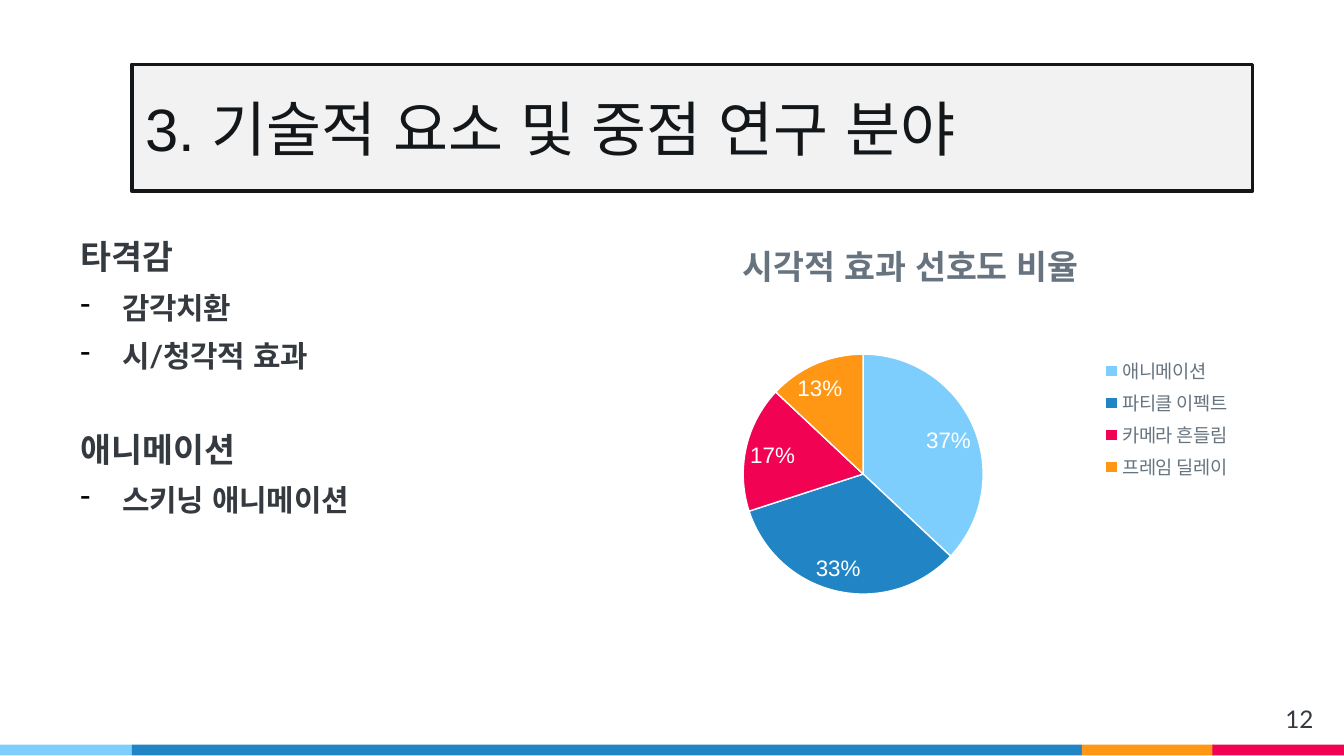
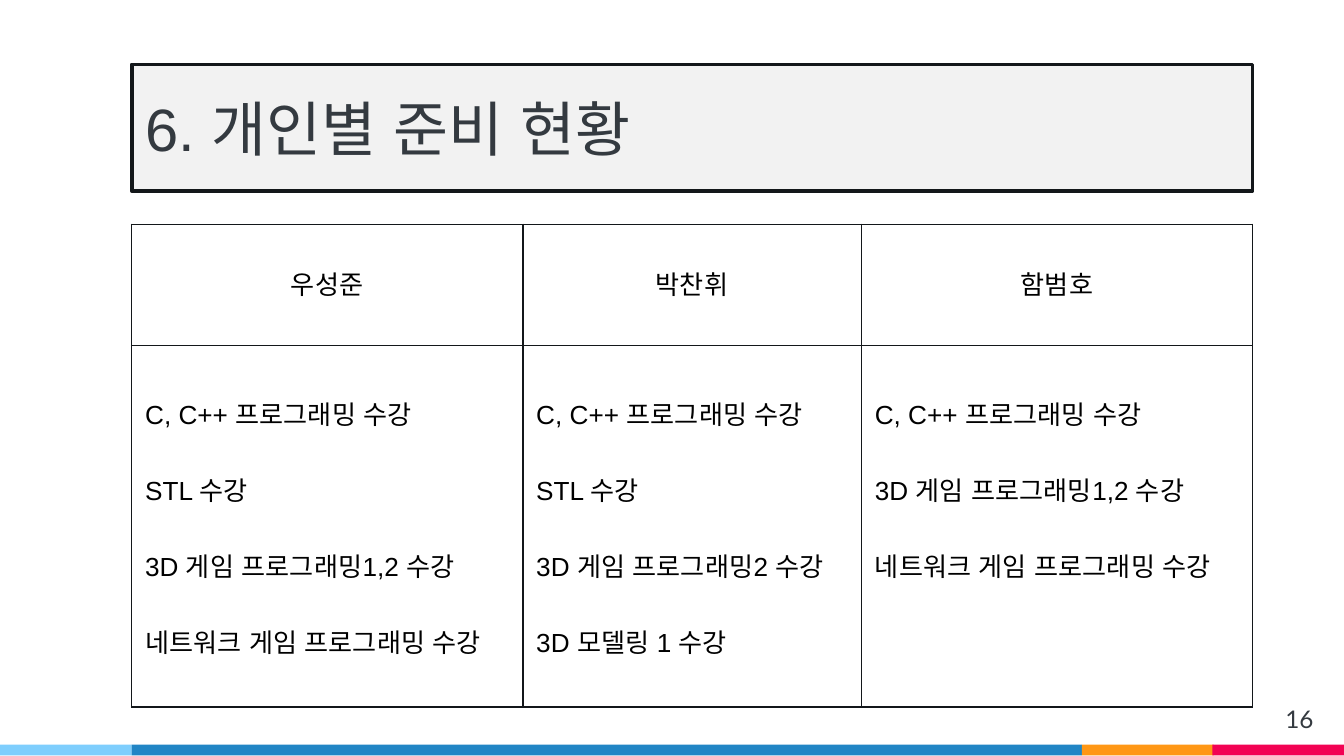
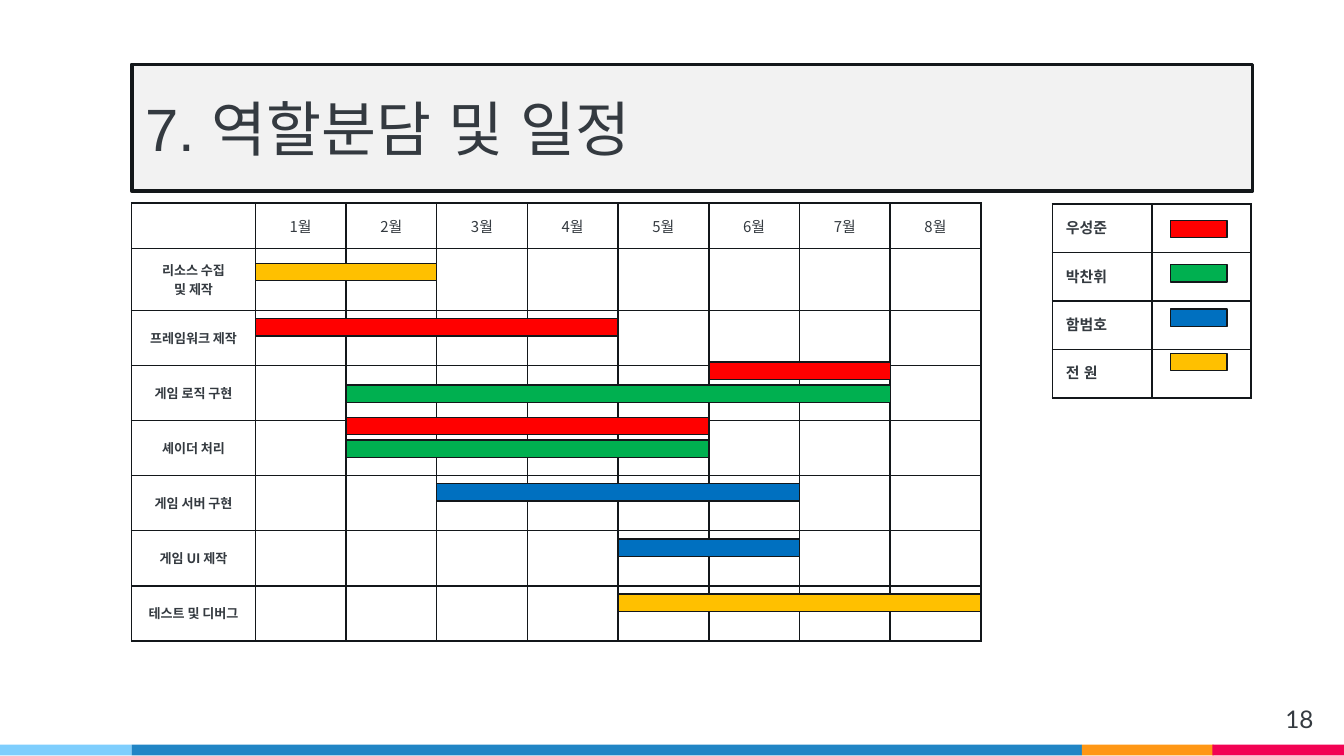
"""Build three project slides: research focus, personal preparation and schedule."""
from lxml.etree import SubElement
from pptx import Presentation
from pptx.chart.data import CategoryChartData
from pptx.dml.color import RGBColor
from pptx.enum.chart import XL_CHART_TYPE, XL_LABEL_POSITION, XL_LEGEND_POSITION
from pptx.enum.shapes import MSO_SHAPE
from pptx.enum.text import MSO_ANCHOR, MSO_AUTO_SIZE, PP_ALIGN
from pptx.oxml import parse_xml
from pptx.oxml.ns import nsdecls, qn
from pptx.util import Inches, Pt

SKY = RGBColor(0x7E, 0xCE, 0xFD)
BLUE = RGBColor(0x21, 0x85, 0xC5)
PINK = RGBColor(0xF2, 0x02, 0x53)
ORANGE = RGBColor(0xFF, 0x97, 0x15)
INK = RGBColor(0x13, 0x17, 0x1A)
TEXT = RGBColor(0x34, 0x3A, 0x40)
GRAY = RGBColor(0x67, 0x74, 0x80)
PANEL = RGBColor(0xF2, 0xF2, 0xF2)
WHITE = RGBColor(0xFF, 0xFF, 0xFF)
BLACK = RGBColor(0, 0, 0)
KOREAN = "Noto Sans CJK KR"

STRIP = [(0, 0.98, SKY), (0.98, 7.07, BLUE), (8.05, 0.98, ORANGE), (9.02, 0.98, PINK)]

FOCUS_AREAS = [
    ("타격감", ["감각치환", "시/청각적 효과"]),
    ("애니메이션", ["스키닝 애니메이션"]),
]
CHART_TITLE = "시각적 효과 선호도 비율"
PREFERENCES = [
    ("애니메이션", 37, SKY),
    ("파티클 이펙트", 33, BLUE),
    ("카메라 흔들림", 17, PINK),
    ("프레임 딜레이", 13, ORANGE),
]

PREPARATION = {
    "우성준": ["C, C++ 프로그래밍 수강", "STL 수강", "3D 게임 프로그래밍1,2 수강", "네트워크 게임 프로그래밍 수강"],
    "박찬휘": ["C, C++ 프로그래밍 수강", "STL 수강", "3D 게임 프로그래밍2 수강", "3D 모델링 1 수강"],
    "함범호": ["C, C++ 프로그래밍 수강", "3D 게임 프로그래밍1,2 수강", "네트워크 게임 프로그래밍 수강"],
}

OWNERS = {
    "우성준": RGBColor(0xFF, 0, 0),
    "박찬휘": RGBColor(0, 0xB0, 0x50),
    "함범호": RGBColor(0, 0x70, 0xC0),
    "전 원": RGBColor(0xFF, 0xC0, 0),
}
MONTHS = 8
SCHEDULE = [
    ("리소스 수집\n및 제작", [("전 원", 1, 2)]),
    ("프레임워크 제작", [("우성준", 1, 4)]),
    ("게임 로직 구현", [("우성준", 6, 7), ("박찬휘", 2, 7)]),
    ("셰이더 처리", [("우성준", 2, 5), ("박찬휘", 2, 5)]),
    ("게임 서버 구현", [("함범호", 3, 6)]),
    ("게임 UI 제작", [("함범호", 5, 6)]),
    ("테스트 및 디버그", [("전 원", 5, 8)]),
]


def style_runs(paragraph, size, color, font="Arial", bold=False):
    for run in paragraph.runs:
        run.font.size = Pt(size)
        run.font.name = font
        run.font.bold = bold
        run.font.color.rgb = color
        east_asian = KOREAN if font == KOREAN else "Arial"
        SubElement(run.font._element, qn("a:ea"), typeface=east_asian)


def set_margins(target, left, top, right, bottom):
    target.margin_left, target.margin_top = Inches(left), Inches(top)
    target.margin_right, target.margin_bottom = Inches(right), Inches(bottom)


def add_box(slide, left, top, width, height, fill, line=None):
    shape = slide.shapes.add_shape(
        MSO_SHAPE.RECTANGLE, Inches(left), Inches(top), Inches(width), Inches(height))
    shape.shadow.inherit = False
    shape.fill.solid()
    shape.fill.fore_color.rgb = fill
    if line is None:
        shape.line.fill.background()
    else:
        shape.line.color.rgb = line
        shape.line.width = Pt(0.75)
    return shape


def add_text_frame(slide, left, top, width, height):
    box = slide.shapes.add_textbox(Inches(left), Inches(top), Inches(width), Inches(height))
    box.text_frame.word_wrap = True
    set_margins(box.text_frame, 0.1, 0.1, 0.1, 0.1)
    return box.text_frame


def add_strip_to_master(presentation, slide):
    tree = presentation.slide_master.shapes.element
    for number, (left, width, color) in enumerate(STRIP, 20):
        band = add_box(slide, left, 5.54, width, 0.08, color).element
        band.xpath("./p:nvSpPr/p:cNvPr")[0].set("id", str(number))
        tree.append(band)


def add_slide(presentation, heading, number, heading_color=TEXT):
    slide = presentation.slides.add_slide(presentation.slide_layouts[5])
    title = slide.shapes.title
    title.left, title.top = Inches(0.98), Inches(0.48)
    title.width, title.height = Inches(8.34), Inches(0.94)
    title.fill.solid()
    title.fill.fore_color.rgb = PANEL
    title.line.color.rgb = INK
    title.line.width = Pt(2)
    frame = title.text_frame
    frame.text = heading
    frame.auto_size = MSO_AUTO_SIZE.NONE
    frame.vertical_anchor = MSO_ANCHOR.MIDDLE
    set_margins(frame, 0.1, 0.1, 0.1, 0.1)
    frame.paragraphs[0].alignment = PP_ALIGN.LEFT
    style_runs(frame.paragraphs[0], 32, heading_color)

    page = add_text_frame(slide, 9.27, 5.14, 0.6, 0.34).paragraphs[0]
    page.text = str(number)
    page.alignment = PP_ALIGN.RIGHT
    style_runs(page, 13, TEXT, "Lato")
    return slide


def add_dash(paragraph):
    properties = paragraph._p.get_or_add_pPr()
    properties.set("marL", str(Inches(0.31)))
    properties.set("indent", str(-Inches(0.31)))
    color = SubElement(properties, qn("a:buClr"))
    SubElement(color, qn("a:srgbClr"), val=str(BLACK))
    SubElement(properties, qn("a:buChar"), char="-")


def add_focus_list(slide):
    frame = add_text_frame(slide, 0.5, 1.66, 4.1, 3.59)
    frame.margin_top = Inches(0.12)
    paragraph = None
    for area, topics in FOCUS_AREAS:
        if paragraph is None:
            paragraph = frame.paragraphs[0]
        else:
            paragraph = frame.add_paragraph()
            paragraph.space_before = Pt(31)
        paragraph.text = area
        paragraph.line_spacing = Pt(20)
        style_runs(paragraph, 18, TEXT, "Lato", True)
        for topic in topics:
            paragraph = frame.add_paragraph()
            paragraph.text = topic
            paragraph.line_spacing = Pt(20)
            paragraph.space_before = Pt(6)
            style_runs(paragraph, 16, TEXT, "Lato", True)
            add_dash(paragraph)


def set_layout(part, index, target, **fractions):
    for layout in part.findall(qn("c:layout")):
        part.remove(layout)
    inner = '<c:layoutTarget val="inner"/>' if target == "inner" else ""
    modes = '<c:xMode val="edge"/><c:yMode val="edge"/>'
    values = "".join(f'<c:{name} val="{value}"/>' for name, value in fractions.items())
    part.insert(index, parse_xml(
        f'<c:layout {nsdecls("c")}><c:manualLayout>{inner}{modes}{values}'
        "</c:manualLayout></c:layout>"))


def add_preference_chart(slide):
    data = CategoryChartData()
    data.categories = [name for name, _, _ in PREFERENCES]
    data.add_series(CHART_TITLE, [share for _, share, _ in PREFERENCES])
    chart = slide.shapes.add_chart(
        XL_CHART_TYPE.PIE, Inches(4.29), Inches(1.66), Inches(4.96), Inches(2.92), data).chart
    chart.font.size = Pt(10)
    chart.font.name = "Arial"
    chart.font.color.rgb = GRAY
    chart.has_title = True
    chart.chart_title.text_frame.text = CHART_TITLE
    style_runs(chart.chart_title.text_frame.paragraphs[0], 18, GRAY, bold=True)
    chart.has_legend = True
    chart.legend.position = XL_LEGEND_POSITION.RIGHT
    chart.legend.include_in_layout = False

    plot = chart.plots[0]
    plot.vary_by_categories = True
    for index, (_, _, color) in enumerate(PREFERENCES):
        point = plot.series[0].points[index]
        point.format.fill.solid()
        point.format.fill.fore_color.rgb = color
        point.format.line.color.rgb = WHITE
        point.format.line.width = Pt(0.75)
    plot.has_data_labels = True
    labels = plot.data_labels
    labels.show_percentage = True
    labels.show_value = False
    labels.number_format = "0%"
    labels.number_format_is_linked = False
    labels.position = XL_LABEL_POSITION.BEST_FIT
    labels.font.size = Pt(12)
    labels.font.color.rgb = WHITE

    root = chart.element
    set_layout(root.xpath(".//c:plotArea")[0], 0, "inner", x=0.25, y=0.33, w=0.36, h=0.62)
    set_layout(root.xpath(".//c:chart/c:title")[0], 1, "outer", x=0.24, y=0.04)
    set_layout(root.xpath(".//c:legend")[0], 1, "outer", x=0.78, y=0.33, w=0.21, h=0.34)


def add_grid(slide, left, top, columns, rows):
    table = slide.shapes.add_table(
        len(rows), len(columns), Inches(left), Inches(top),
        Inches(sum(columns)), Inches(sum(rows))).table
    table.first_row = table.horz_banding = False
    for column, width in zip(table.columns, columns):
        column.width = Inches(width)
    for row, height in zip(table.rows, rows):
        row.height = Inches(height)
    for cell in table.iter_cells():
        properties = cell._tc.get_or_add_tcPr()
        for side in ("a:lnL", "a:lnR", "a:lnT", "a:lnB"):
            border = SubElement(properties, qn(side), w=str(Pt(1)))
            fill = SubElement(border, qn("a:solidFill"))
            SubElement(fill, qn("a:srgbClr"), val=str(INK))
        cell.fill.background()
        set_margins(cell, 0, 0, 0, 0)
    return table


def fill_cell(cell, text, size, color, font="Arial", bold=False,
              margin=0.09, alignment=PP_ALIGN.CENTER):
    cell.text_frame.text = text
    cell.vertical_anchor = MSO_ANCHOR.MIDDLE
    set_margins(cell, margin, margin, margin, margin)
    for paragraph in cell.text_frame.paragraphs:
        paragraph.alignment = alignment
        style_runs(paragraph, size, color, font, bold)


def add_preparation_table(slide):
    table = add_grid(slide, 0.98, 1.67, [2.91, 2.52, 2.91], [0.9, 2.69])
    for column, (member, courses) in enumerate(PREPARATION.items()):
        fill_cell(table.cell(0, column), member, 14, BLACK)
        cell = table.cell(1, column)
        fill_cell(cell, "\n".join(courses), 14, BLACK, alignment=PP_ALIGN.LEFT)
        cell.vertical_anchor = MSO_ANCHOR.TOP
        set_margins(cell, 0.1, 0.35, 0.02, 0.05)
        for index, paragraph in enumerate(cell.text_frame.paragraphs):
            paragraph.line_spacing = Pt(20)
            paragraph.space_before = Pt(20.7 if index else 0)


def add_schedule(slide):
    left, label_width, month_width, row_height = 0.98, 0.92, 5.4 / MONTHS, 0.41
    task_heights = [0.46] + [row_height] * (len(SCHEDULE) - 1)
    table = add_grid(slide, left, 1.51, [label_width] + [month_width] * MONTHS,
                     [0.34] + task_heights)
    for month in range(1, MONTHS + 1):
        fill_cell(table.cell(0, month), f"{month}월", 8, TEXT, KOREAN)
    for row, (task, bars) in enumerate(SCHEDULE):
        fill_cell(table.cell(row + 1, 0), task, 7, TEXT, KOREAN, True)
        for index, (owner, first, last) in enumerate(bars):
            shift = 0.17 * (index - (len(bars) - 1) / 2)
            add_box(slide, left + label_width + month_width * (first - 1),
                    1.96 + row_height * row + shift,
                    month_width * (last - first + 1), 0.13, OWNERS[owner], INK)


def add_owner_key(slide):
    table = add_grid(slide, 7.83, 1.52, [0.74] * 2, [0.36] * len(OWNERS))
    for row, (owner, color) in enumerate(OWNERS.items()):
        fill_cell(table.cell(row, 0), owner, 8, TEXT, bold=True,
                  margin=0.1, alignment=PP_ALIGN.LEFT)
        add_box(slide, 8.71, 1.64 + 0.33 * row, 0.42, 0.13, color, INK)


def main():
    presentation = Presentation()
    presentation.slide_width = Inches(10)
    presentation.slide_height = Inches(10 * 9 / 16)

    focus = add_slide(presentation, "3. 기술적 요소 및 중점 연구 분야", 12, INK)
    add_strip_to_master(presentation, focus)
    add_focus_list(focus)
    add_preference_chart(focus)

    preparation = add_slide(presentation, "6. 개인별 준비 현황", 16)
    add_preparation_table(preparation)

    schedule = add_slide(presentation, "7. 역할분담 및 일정", 18)
    add_schedule(schedule)
    add_owner_key(schedule)

    presentation.save("out.pptx")


if __name__ == "__main__":
    main()
